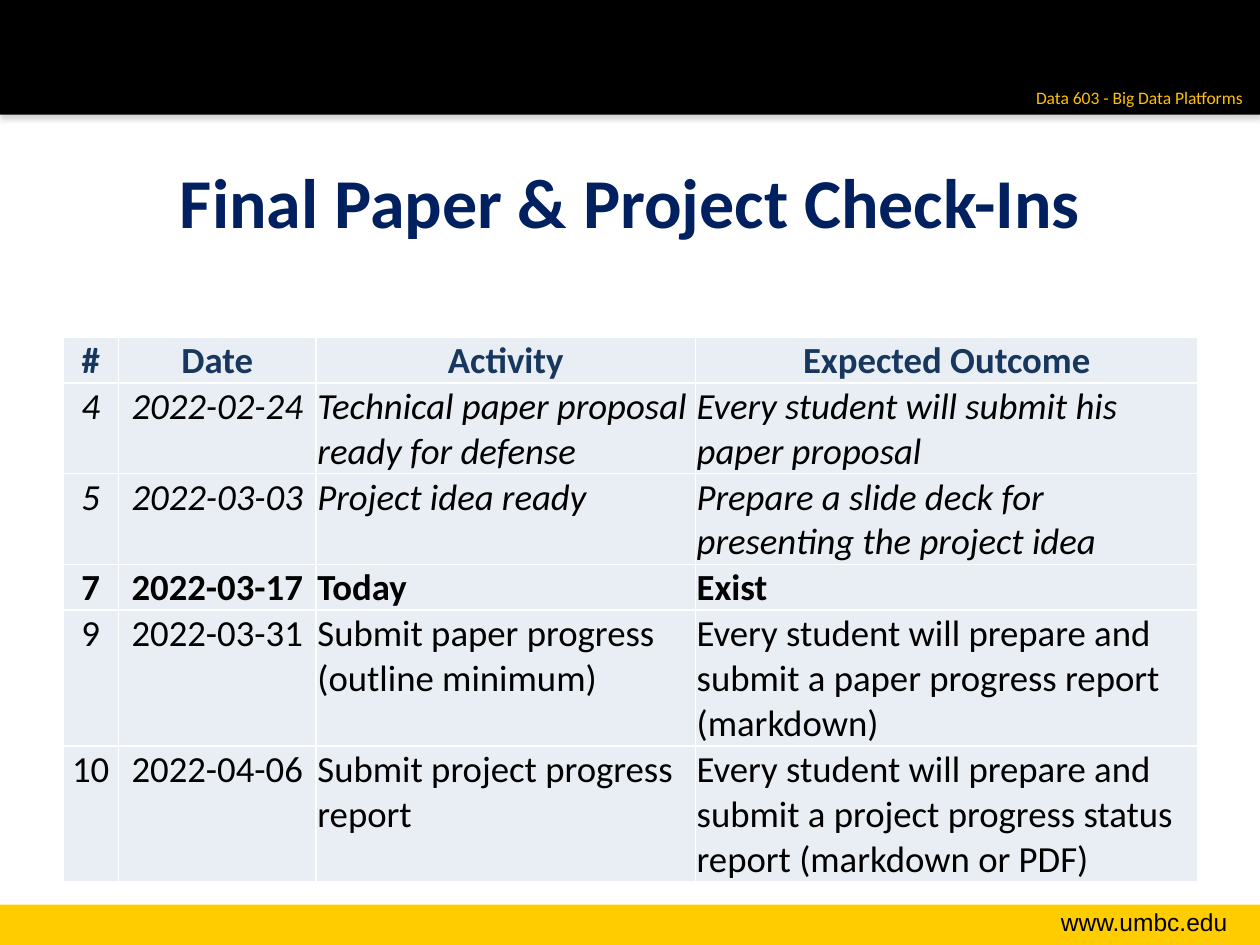
from lxml import etree
from pptx import Presentation
from pptx.dml.color import RGBColor
from pptx.enum.shapes import MSO_SHAPE
from pptx.enum.text import MSO_ANCHOR, PP_ALIGN
from pptx.oxml import parse_xml
from pptx.oxml.ns import nsdecls, qn
from pptx.util import Inches, Pt

RECTANGLE = MSO_SHAPE.RECTANGLE
CENTER, LEFT, RIGHT = PP_ALIGN.CENTER, PP_ALIGN.LEFT, PP_ALIGN.RIGHT
TOP, MIDDLE, BOTTOM = MSO_ANCHOR.TOP, MSO_ANCHOR.MIDDLE, MSO_ANCHOR.BOTTOM
TITLE_ONLY = 5

BLACK, WHITE, GOLD, AMBER = "000000", "FFFFFF", "FFCC00", "FFC000"
NAVY, HEADING_BLUE, CELL_FILL = "002060", "17375E", "E9EDF4"

COLUMN_WIDTHS = [0.44, 1.57, 3.01, 3.99]
COLUMN_ALIGNMENTS = [CENTER, CENTER, LEFT, LEFT]
LINE_HEIGHT = 0.36
HEADINGS = ["#", "Date", "Activity", "Expected Outcome"]
# Each row: line count, style, cell texts
CHECK_INS = [
    (2, "italic", ["4", "2022-02-24", "Technical paper proposal ready for defense",
                   "Every student will submit his paper proposal"]),
    (2, "italic", ["5", "2022-03-03", "Project idea ready",
                   "Prepare a slide deck for presenting the project idea"]),
    (1, "bold", ["7", "2022-03-17", "Today", "Exist"]),
    (3, "plain", ["9", "2022-03-31", "Submit paper progress (outline minimum)",
                  "Every student will prepare and submit a paper progress report (markdown)"]),
    (3, "plain", ["10", "2022-04-06", "Submit project progress report",
                  "Every student will prepare and submit a project progress status "
                  "report (markdown or PDF)"]),
]


def color(hex_string):
    return RGBColor.from_string(hex_string)


def format_paragraph(paragraph, size, hex_string, alignment, font_name="Calibri",
                     bold=False, italic=False):
    paragraph.alignment = alignment
    font = paragraph.font
    font.name, font.size = font_name, Pt(size)
    font.bold, font.italic = bold, italic
    font.color.rgb = color(hex_string)


def add_band(slide, box, fill):
    band = slide.shapes.add_shape(RECTANGLE, *map(Inches, box))
    band.shadow.inherit = False
    band.fill.solid()
    band.fill.fore_color.rgb = color(fill)
    band.line.fill.background()
    return band


def add_soft_shadow(shape):
    effects = shape._element.spPr.find(qn("a:effectLst"))
    effects.append(parse_xml(
        f'<a:outerShdw {nsdecls("a")} blurRad="{Pt(3.1)}" dist="{Pt(1.8)}" dir="5400000" '
        'rotWithShape="0"><a:srgbClr val="808080"><a:alpha val="35000"/></a:srgbClr>'
        '</a:outerShdw>'))


def add_label(slide, box, text, size, hex_string, font_name, wrap):
    frame = slide.shapes.add_textbox(*map(Inches, box)).text_frame
    frame.word_wrap = wrap
    frame.text = text
    format_paragraph(frame.paragraphs[0], size, hex_string, RIGHT, font_name)


def add_header(slide, box):
    left, top, width, height = box
    add_soft_shadow(add_band(slide, box, BLACK))
    add_label(slide, (left + width - 1.91, top + height - 0.27, 1.87, 0.27),
              "Data 603 - Big Data Platforms", 10, AMBER, "Calibri", False)


def add_footer(slide, box):
    left, top, width, _ = box
    add_band(slide, box, GOLD)
    add_label(slide, (left + width - 2.15, top - 0.03, 1.99, 0.34),
              "www.umbc.edu", 14, BLACK, "Arial", True)


def set_title(slide, box, text):
    title = slide.shapes.title
    title.left, title.top, title.width, title.height = map(Inches, box)
    frame = title.text_frame
    frame.text = text
    frame.word_wrap = True
    frame.vertical_anchor = MIDDLE
    format_paragraph(frame.paragraphs[0], 40, NAVY, CENTER, bold=True)


def add_borders(cell, hex_string, width):
    properties = cell._tc.get_or_add_tcPr()
    for side in ("lnL", "lnR", "lnT", "lnB"):
        line = etree.SubElement(properties, qn(f"a:{side}"), w=str(Pt(width)))
        fill = etree.SubElement(line, qn("a:solidFill"))
        etree.SubElement(fill, qn("a:srgbClr"), val=hex_string)


def fill_cell(cell, text, alignment, style):
    heading = style == "heading"
    add_borders(cell, WHITE, 1)
    cell.fill.solid()
    cell.fill.fore_color.rgb = color(CELL_FILL)
    cell.margin_left = cell.margin_right = cell.margin_top = Inches(0.01)
    cell.margin_bottom = 0
    cell.vertical_anchor = BOTTOM if heading else TOP
    cell.text = text
    format_paragraph(cell.text_frame.paragraphs[0], 21, HEADING_BLUE if heading else BLACK,
                     CENTER if heading else alignment,
                     bold=style in ("heading", "bold"), italic=style == "italic")


def add_check_in_table(slide, box):
    rows = [(1, "heading", HEADINGS)] + CHECK_INS
    table = slide.shapes.add_table(len(rows), len(HEADINGS), *map(Inches, box)).table
    for column, width in zip(table.columns, COLUMN_WIDTHS):
        column.width = Inches(width)
    for row, (line_count, style, texts) in zip(table.rows, rows):
        row.height = Inches(line_count * LINE_HEIGHT)
        for cell, text, alignment in zip(row.cells, texts, COLUMN_ALIGNMENTS):
            fill_cell(cell, text, alignment, style)


def main():
    presentation = Presentation()
    presentation.slide_width, presentation.slide_height = Inches(10), Inches(7.5)
    slide = presentation.slides.add_slide(presentation.slide_layouts[TITLE_ONLY])
    add_footer(slide, (0, 7.18, 10, 0.32))
    add_header(slide, (0, 0, 10, 0.91))
    set_title(slide, (0.5, 0.97, 9, 1.25), "Final Paper & Project Check-Ins")
    add_check_in_table(slide, (0.5, 2.68, 9, 4.32))
    presentation.save("out.pptx")


if __name__ == "__main__":
    main()
